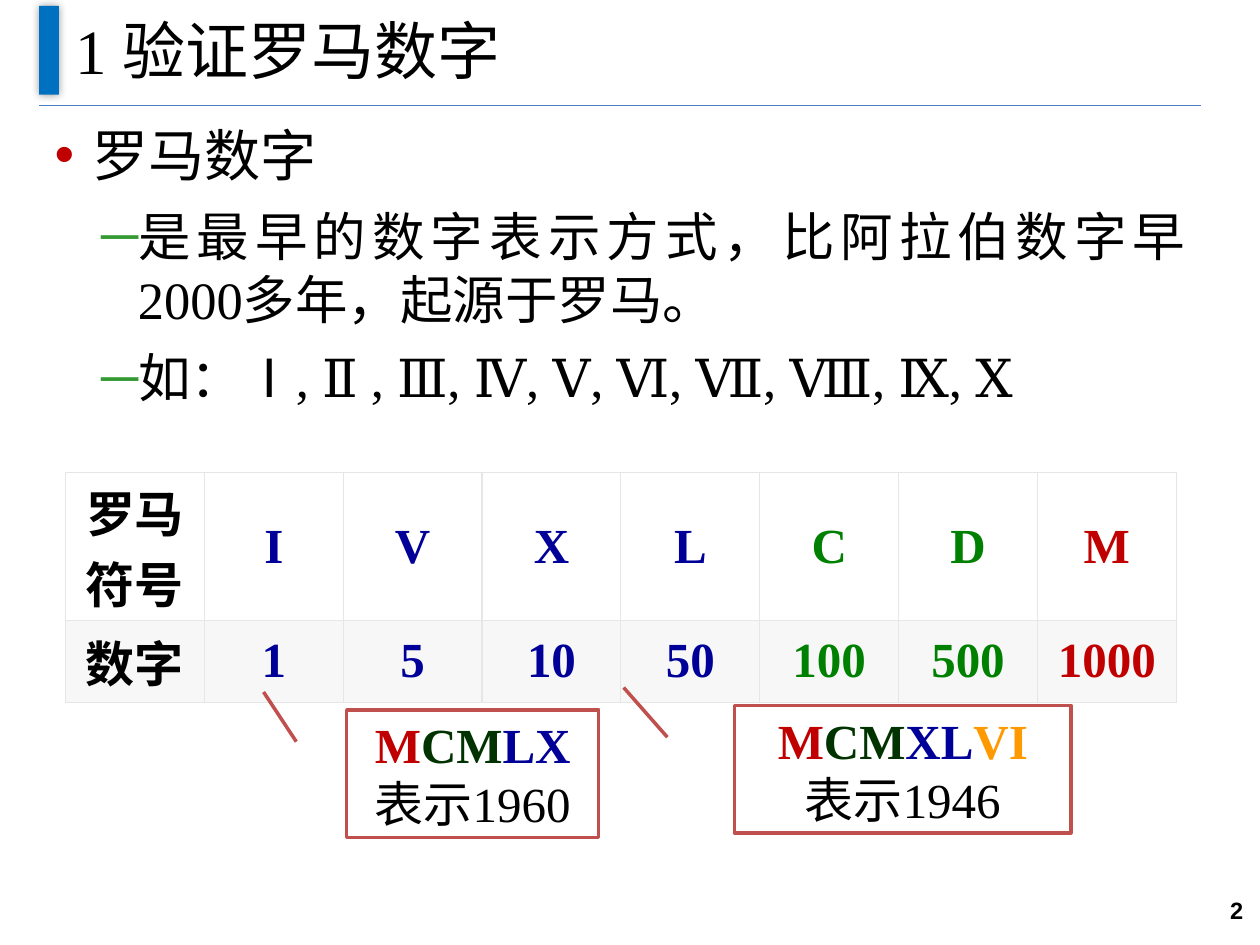
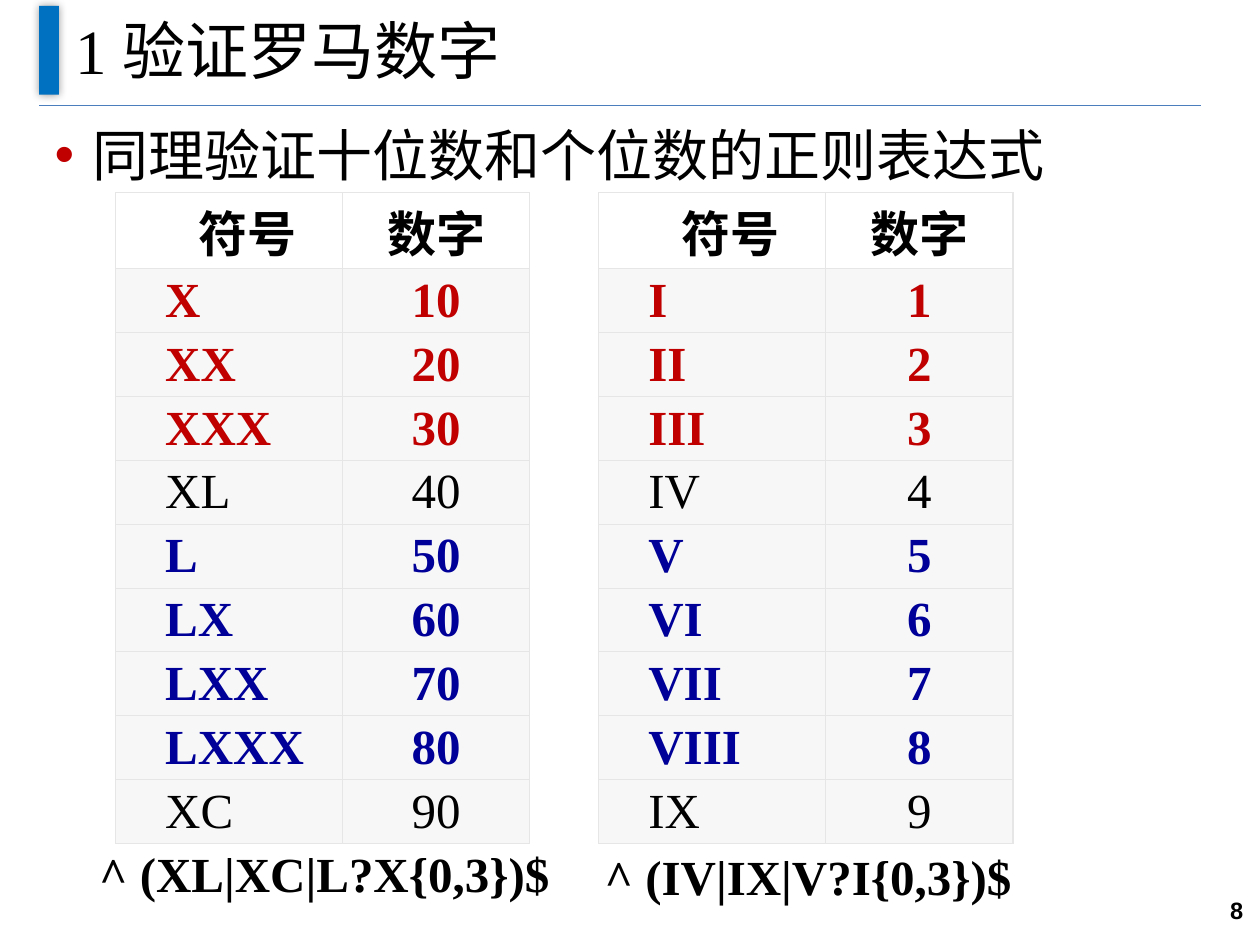
from lxml import etree
from pptx import Presentation
from pptx.dml.color import RGBColor
from pptx.enum.shapes import MSO_CONNECTOR as Link, MSO_SHAPE as Form
from pptx.enum.text import MSO_ANCHOR as Anchor, PP_ALIGN as Align
from pptx.oxml.ns import qn
from pptx.util import Cm, Pt

# Shared colours and fonts
BLACK, WHITE, GREY, EDGE = "000000", "FFFFFF", "F7F7F7", "E6E6E6"
BLUE, RULE = "0070C0", "4B7EBC"
RED, NAVY, GREEN, DARK, GOLD = "C00000", "000099", "008000", "003300", "FF9900"
MINT, BRICK = "339933", "C0504D"
SERIF, SANS = "Times New Roman", "Arial"
TITLE = "1 验证罗马数字"

# Bullet per level: sign, colour, text size, left margin, hanging indent
LEVELS = [("•", RED, 32, 0.76, 0.76), ("─", MINT, 30, 1.68, 0.74)]


def tint(code):
    return RGBColor.from_string(code)


def add_run(para, text, size=28, color=BLACK, bold=False, face=SERIF):
    run = para.add_run()
    run.text = text
    font = run.font
    font.size, font.bold, font.name = Pt(size), bold, face
    font.color.rgb = tint(color)


def add_box(slide, left, top, width, height, anchor=Anchor.TOP, wrap=True):
    box = slide.shapes.add_textbox(Cm(left), Cm(top), Cm(width), Cm(height))
    frame = box.text_frame
    frame.word_wrap, frame.vertical_anchor = wrap, anchor
    return frame


# Title, band, rule and page number
def add_glow(shape):
    glow = etree.SubElement(shape._element.spPr, qn("a:effectLst"))
    outer = etree.SubElement(glow, qn("a:outerShdw"), blurRad=str(Pt(5)),
                             dist="0", dir="0", rotWithShape="0")
    shade = etree.SubElement(outer, qn("a:srgbClr"), val=BLACK)
    etree.SubElement(shade, qn("a:alpha"), val="40000")


def add_page(deck, number):
    slide = deck.slides.add_slide(deck.slide_layouts[6])
    rule = slide.shapes.add_connector(Link.STRAIGHT, Cm(0.79), Cm(2.13),
                                      Cm(24.21), Cm(2.13))
    rule.line.color.rgb, rule.line.width = tint(RULE), Pt(0.75)
    etree.SubElement(rule._element.spPr, qn("a:effectLst"))

    band = slide.shapes.add_shape(Form.RECTANGLE, Cm(0.79), Cm(0.12),
                                  Cm(0.4), Cm(1.79))
    band.fill.solid()
    band.fill.fore_color.rgb = tint(BLUE)
    band.line.fill.background()
    add_glow(band)

    head = add_box(slide, 1.27, -0.08, 22.86, 2.13, Anchor.MIDDLE)
    add_run(head.paragraphs[0], TITLE, 36)
    foot = add_box(slide, 22.95, 17.65, 2.36, 1.4, Anchor.MIDDLE).paragraphs[0]
    foot.alignment = Align.RIGHT
    add_run(foot, str(number), 13.5, bold=True, face=SANS)
    return slide


# Bulleted body
def add_body(slide, items):
    frame = add_box(slide, 0.85, 2.31, 23.32, 16.1)
    for i, (level, text) in enumerate(items):
        para = frame.add_paragraph() if i else frame.paragraphs[0]
        sign, color, size, margin, hang = LEVELS[level]
        para.level, para.alignment = level, Align.JUSTIFY
        para.space_before = para.space_after = Pt(4.5)
        props = para._p.get_or_add_pPr()
        props.set("marL", str(Cm(margin)))
        props.set("indent", str(-Cm(hang)))
        shade = etree.SubElement(props, qn("a:buClr"))
        etree.SubElement(shade, qn("a:srgbClr"), val=color)
        etree.SubElement(props, qn("a:buFont"), typeface=SANS)
        etree.SubElement(props, qn("a:buChar"), char=sign)
        add_run(para, text, size)


# Tables
def add_edge(cell):
    props = cell._tc.get_or_add_tcPr()
    for i, side in enumerate(("lnL", "lnR", "lnT", "lnB")):
        line = etree.Element(qn("a:" + side), w=str(Pt(0.75)))
        fill = etree.SubElement(line, qn("a:solidFill"))
        etree.SubElement(fill, qn("a:srgbClr"), val=EDGE)
        props.insert(i, line)


def fill_cell(cell, text, color, bold, back, align=Align.CENTER, left=0.25):
    cell.fill.solid()
    cell.fill.fore_color.rgb = tint(back)
    cell.vertical_anchor = Anchor.MIDDLE
    cell.margin_left, cell.margin_right = Cm(left), Cm(0.25)
    cell.margin_top = cell.margin_bottom = Cm(0.05)
    para = cell.text_frame.paragraphs[0]
    para.alignment = align
    add_run(para, text, color=color, bold=bold)
    add_edge(cell)


def add_grid(slide, left, top, widths, heights):
    grid = slide.shapes.add_table(len(heights), len(widths), Cm(left), Cm(top),
                                  Cm(sum(widths)), Cm(sum(heights))).table
    for col, width in zip(grid.columns, widths):
        col.width = Cm(width)
    for row, height in zip(grid.rows, heights):
        row.height = Cm(height)
    return grid


def add_signs(slide):
    grid = add_grid(slide, 1.32, 9.53, [2.8] * 8, [2.97, 1.66])
    rows = (["罗马符号", *"IVXLCDM"],
            ["数字", "1", "5", "10", "50", "100", "500", "1000"])
    colors = [BLACK] + [NAVY] * 4 + [GREEN] * 2 + [RED]
    for r, (texts, back) in enumerate(zip(rows, (WHITE, GREY))):
        for c, (text, color) in enumerate(zip(texts, colors)):
            fill_cell(grid.cell(r, c), text, color, True, back)


def add_digits(slide, left, signs, unit):
    heights = [1.54] + [1.27] * len(signs)
    grid = add_grid(slide, left, 3.88, [4.57, 3.78], heights)
    colors = [BLACK] + [RED] * 3 + [BLACK] + [NAVY] * 4 + [BLACK]
    for r, (sign, color) in enumerate(zip(["符号", *signs], colors)):
        top = r == 0
        bold = top or color != BLACK
        back = WHITE if top else GREY
        align = Align.CENTER if top else Align.LEFT
        value = "数字" if top else str(r * unit)
        fill_cell(grid.cell(r, 0), sign, color, bold, back, align, 1)
        fill_cell(grid.cell(r, 1), value, color, bold, back)


# Callout with a coloured numeral above its value
def add_note(slide, left, top, width, parts, value):
    note = slide.shapes.add_shape(Form.LINE_CALLOUT_1, Cm(left), Cm(top),
                                  Cm(width), Cm(2.57))
    for i, ratio in enumerate((-0.14, -0.33, 0.25, -0.2)):
        note.adjustments[i] = ratio
    note.shadow.inherit = False
    note.fill.solid()
    note.fill.fore_color.rgb = tint(WHITE)
    note.line.color.rgb, note.line.width = tint(BRICK), Pt(2)
    frame = note.text_frame
    frame.word_wrap, frame.vertical_anchor = True, Anchor.MIDDLE
    first, last = frame.paragraphs[0], frame.add_paragraph()
    first.alignment = last.alignment = Align.CENTER
    for text, color in parts:
        add_run(first, text, color=color, bold=True)
    add_run(last, "表示" + value)


def add_regex(slide, left, top, width, text):
    frame = add_box(slide, left, top, width, 1.45, wrap=False)
    add_run(frame.paragraphs[0], text, bold=True)


def main():
    deck = Presentation()
    deck.slide_width, deck.slide_height = Cm(25.4), Cm(19.05)

    # Roman numerals
    slide = add_page(deck, 2)
    add_body(slide, [
        (0, "罗马数字"),
        (1, "是最早的数字表示方式，比阿拉伯数字早2000多年，起源于罗马。"),
        (1, "如：Ⅰ, Ⅱ , Ⅲ, Ⅳ, Ⅴ, Ⅵ, Ⅶ, Ⅷ, Ⅸ, Ⅹ"),
    ])
    add_signs(slide)
    start = [("M", RED), ("CM", DARK)]
    add_note(slide, 6.99, 14.31, 5.08, start + [("LX", NAVY)], "1960")
    add_note(slide, 14.81, 14.22, 6.78,
             start + [("XL", NAVY), ("VI", GOLD)], "1946")

    # Tens and units
    slide = add_page(deck, 8)
    add_body(slide, [(0, "同理验证十位数和个位数的正则表达式")])
    tens = ["X", "XX", "XXX", "XL", "L", "LX", "LXX", "LXXX", "XC"]
    units = ["I", "II", "III", "IV", "V", "VI", "VII", "VIII", "IX"]
    add_digits(slide, 2.33, tens, 10)
    add_regex(slide, 1.75, 16.88, 9.68, "^ (XL|XC|L?X{0,3})$")
    add_digits(slide, 12.07, units, 1)
    add_regex(slide, 11.94, 16.94, 8.79, "^ (IV|IX|V?I{0,3})$")

    deck.save("out.pptx")


if __name__ == "__main__":
    main()
